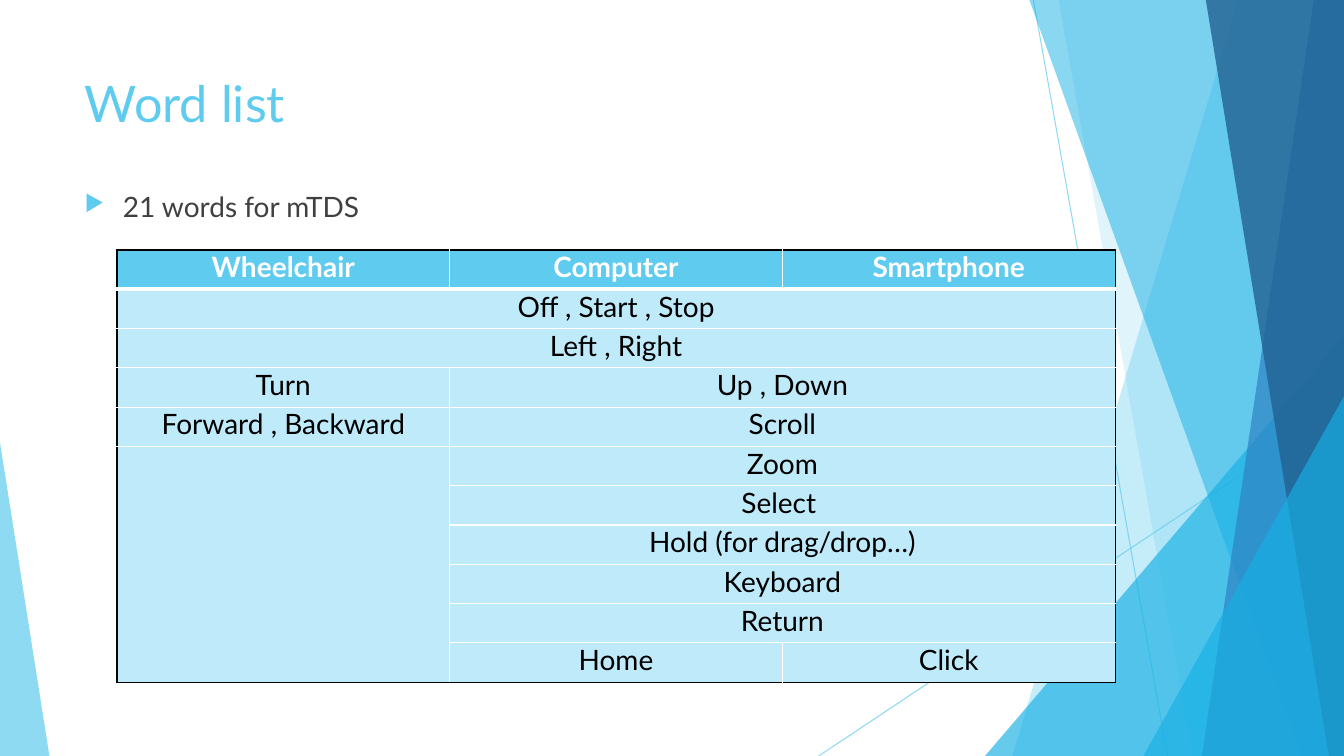
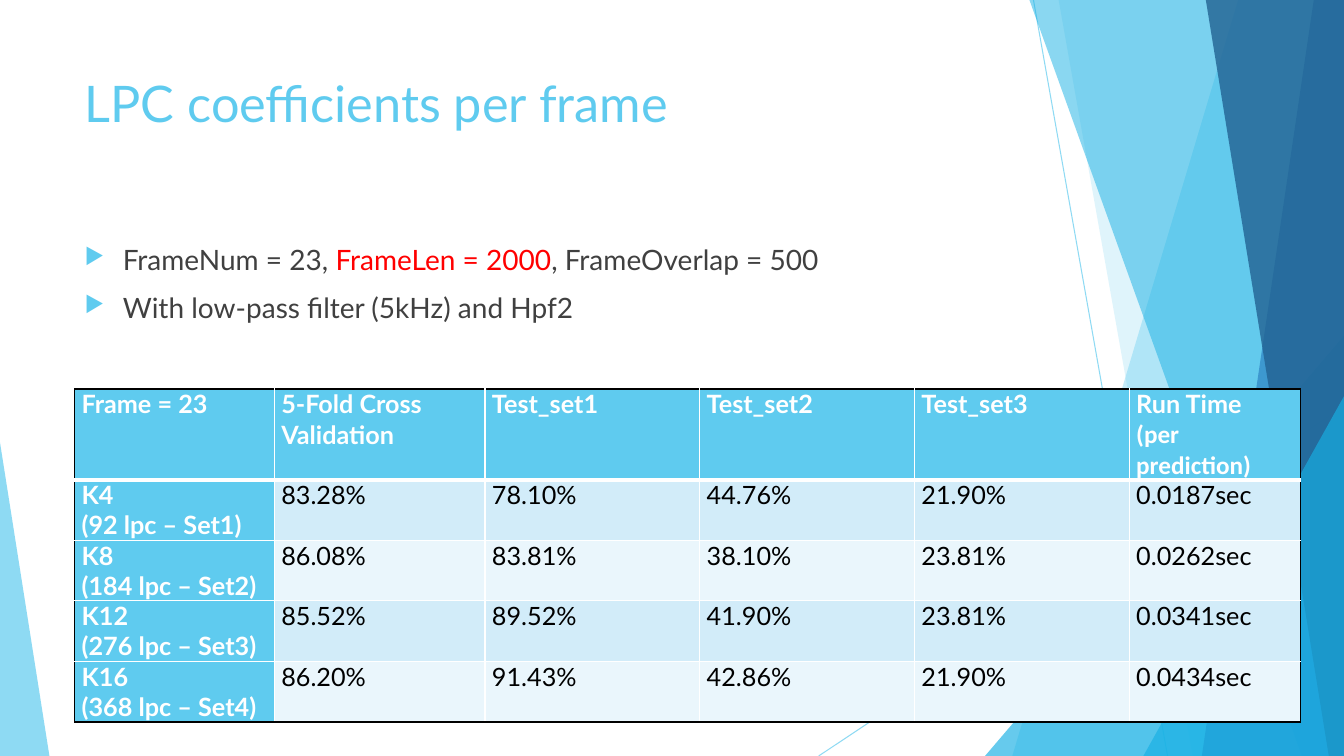
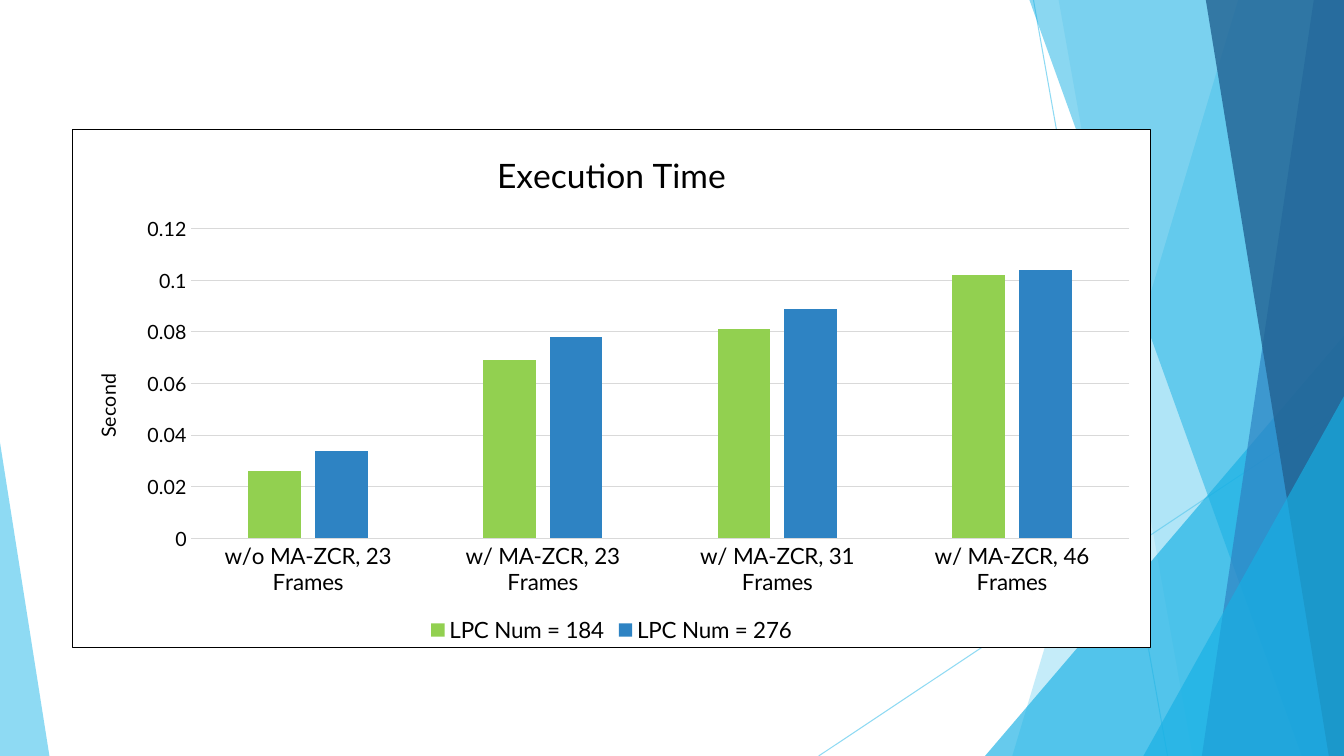
"""Builds three slides: a word list, LPC results per frame and execution times."""
from lxml import etree
from pptx import Presentation
from pptx import util as u
from pptx.chart.data import CategoryChartData
from pptx.dml.color import RGBColor
from pptx.enum import chart as ch, shapes, text
from pptx.oxml import parse_xml
from pptx.oxml.ns import nsdecls, qn

W, H = 13.33, 7.5
FONT = "Lato"
C = {"sky": "5FCBEF", "cyan": "17B0E4", "blue": "2E83C3", "navy": "226292",
     "white": "FFFFFF", "black": "000000", "body": "404040", "red": "FF0000",
     "pale": "BFEAF9", "band": "D2ECF9", "light": "EAF6FC",
     "grid": "D9D9D9", "green": "92D050"}

RAYS = [((10.25, 0), (11.58, H)), ((W, 4.03), (8.12, H))]
FACETS = [("band", 12.28, 10.04, "sky", 36), ("band", 10.5, 11.83, "sky", 20),
          ("triangle", (9.77, 3.33, 3.56, 4.17), 1, "cyan", 66),
          ("band", 10.21, 12.91, "cyan", 50), ("band", 13.03, 11.92, "blue", 70),
          ("band", 11.96, 13.18, "navy", 80),
          ("triangle", (11.34, 3.93, 1.99, 3.57), 1, "cyan", 66),
          ("triangle", (0, 4.39, 0.49, 3.11), 0, "sky", 70)]

WORD_BULLETS = [[("21 words for mTDS", "body")]]
WORDS = [["Wheelchair", "Computer", "Smartphone"],
         ["Off , Start , Stop"], ["Left , Right"],
         ["Turn", "Up , Down"], ["Forward , Backward", "Scroll"],
         ["", "Zoom"], ["", "Select "], ["", "Hold (for drag/drop…)"],
         ["", "Keyboard"], ["", "Return"], ["", "Home", "Click"]]
WORD_MERGES = ([(r, 0, r, 2) for r in (1, 2)] + [(r, 1, r, 2) for r in range(3, 10)]
               + [(5, 0, 10, 0)])

LPC_BULLETS = [[("FrameNum = 23, ", "body"), ("FrameLen = 2000", "red"),
                (", FrameOverlap = 500", "body")],
               [("With low-pass filter (5kHz) and Hpf2", "body")]]
LPC = [["Frame = 23", "5-Fold Cross Validation", "Test_set1", "Test_set2", "Test_set3",
        "Run Time\n(per prediction)"],
       ["K4\n(92 lpc – Set1)", "83.28%", "78.10%", "44.76%", "21.90%", "0.0187sec"],
       ["K8\n(184 lpc – Set2)", "86.08%", "83.81%", "38.10%", "23.81%", "0.0262sec"],
       ["K12\n(276 lpc – Set3)", "85.52%", "89.52%", "41.90%", "23.81%", "0.0341sec"],
       ["K16\n(368 lpc – Set4)", "86.20%", "91.43%", "42.86%", "21.90%", "0.0434sec"]]
LINE_FONTS = {"(per prediction)": "Calibri"}

TIME_CATS = ["w/o MA-ZCR, 23 Frames", "w/ MA-ZCR, 23 Frames",
             "w/ MA-ZCR, 31 Frames", "w/ MA-ZCR, 46 Frames"]
TIMES = [("LPC Num = 184", "green", (0.026, 0.069, 0.081, 0.102)),
         ("LPC Num = 276", "blue", (0.034, 0.078, 0.089, 0.104))]


def rgb(name):
    """Return a palette colour."""
    return RGBColor.from_string(C[name])


def inches(*values):
    """Convert lengths to Inches."""
    return [u.Inches(v) for v in values]


def assign(obj, **values):
    """Set attributes from keyword values."""
    for key, value in values.items():
        setattr(obj, key, value)


def style(font, size, color, bold=False, name=FONT):
    """Format a font."""
    assign(font, size=u.Pt(size), bold=bold, name=name)
    font.color.rgb = rgb(color)


def set_alpha(part, percent):
    """Make the solid fill inside an element translucent."""
    clr = next(part.iter(qn("a:srgbClr")))
    etree.SubElement(clr, qn("a:alpha"), val=str(percent * 1000))


def add_decor(s):
    """Draw the rays and facets that every slide shares."""
    for start, end in RAYS:
        ray = s.shapes.add_connector(shapes.MSO_CONNECTOR.STRAIGHT, *inches(*start, *end))
        ray.line.color.rgb = rgb("sky")
        ray.line.width = u.Pt(0.75)
        sppr = ray._element.spPr
        set_alpha(sppr, 70)
        etree.SubElement(sppr, qn("a:effectLst"))
    for kind, where, shift, color, alpha in FACETS:
        if kind == "band":
            fb = s.shapes.build_freeform(*inches(where, 0), scale=1.0)
            fb.add_line_segments([inches(*pt) for pt in ((W, 0), (W, H), (shift, H))])
            sp = fb.convert_to_shape()
        else:
            sp = s.shapes.add_shape(shapes.MSO_SHAPE.ISOSCELES_TRIANGLE, *inches(*where))
            sp.adjustments[0] = shift
        sp.shadow.inherit = False
        sp.fill.solid()
        sp.fill.fore_color.rgb = rgb(color)
        set_alpha(sp._element.spPr, alpha)
        sp.line.fill.background()


def add_slide(prs, title=None):
    """Add a decorated slide, with a title if one is given."""
    s = prs.slides.add_slide(prs.slide_layouts[5 if title else 6])
    add_decor(s)
    if title:
        sp = s.shapes.title
        left, top, width, height = inches(0.74, 0.67, 9.4, 1.44)
        assign(sp, left=left, top=top, width=width, height=height)
        tf = sp.text_frame
        assign(tf, text=title, word_wrap=True, vertical_anchor=text.MSO_ANCHOR.TOP)
        p = tf.paragraphs[0]
        p.alignment = text.PP_ALIGN.LEFT
        style(p.runs[0].font, 36, "sky")
    return s


def add_bullets(s, top, height, items):
    """Add a list with arrow bullets."""
    tf = s.shapes.add_textbox(*inches(0.74, top, 9.4, height)).text_frame
    tf.word_wrap = True
    for i, runs in enumerate(items):
        p = tf.add_paragraph() if i else tf.paragraphs[0]
        p.space_before = u.Pt(10)
        ppr = p._p.get_or_add_pPr()
        indent = u.Inches(0.38)
        ppr.set("marL", str(indent))
        ppr.set("indent", str(-indent))
        clr = etree.SubElement(ppr, qn("a:buClr"))
        etree.SubElement(clr, qn("a:srgbClr"), val=C["sky"])
        etree.SubElement(ppr, qn("a:buSzPct"), val="80000")
        etree.SubElement(ppr, qn("a:buChar"), char="▶")
        for words, color in runs:
            r = p.add_run()
            r.text = words
            style(r.font, 20, color)


def set_borders(cell, edges):
    """Draw cell borders from a dict of side to (colour, points)."""
    tcpr = cell._tc.get_or_add_tcPr()
    for side, (color, pt) in edges.items():
        ln = etree.SubElement(tcpr, qn("a:ln" + side), w=str(u.Pt(pt)))
        fill = etree.SubElement(ln, qn("a:solidFill"))
        etree.SubElement(fill, qn("a:srgbClr"), val=C[color])


def add_table(s, left, top, cols, rows, data, bands, size, align,
              merges=(), label_cols=0):
    """Add a table with a heading row, black frame and white inner lines."""
    table = s.shapes.add_table(len(rows), len(cols),
                               *inches(left, top, sum(cols), sum(rows))).table
    table.horz_banding = False
    for col, width in zip(table.columns, cols):
        col.width = u.Inches(width)
    for row, height in zip(table.rows, rows):
        row.height = u.Inches(height)
    for r0, c0, r1, c1 in merges:
        table.cell(r0, c0).merge(table.cell(r1, c1))
    outer, inner = ("black", 1), ("white", 1)
    for r in range(len(rows)):
        for c in range(len(cols)):
            cell = table.cell(r, c)
            last_row = r + cell.span_height >= len(rows)
            last_col = c + cell.span_width >= len(cols)
            set_borders(cell, {
                "L": inner if c else outer,
                "R": outer if last_col else inner,
                "T": outer if r == 0 else ("white", 3) if r == 1 else inner,
                "B": ("white", 3) if r == 0 else outer if last_row else inner})
            head = r == 0 or c < label_cols
            cell.fill.solid()
            cell.fill.fore_color.rgb = rgb("sky" if head else bands[(r - 1) % len(bands)])
            side = u.Inches(0.07)
            assign(cell, margin_left=side, margin_right=side, margin_top=0, margin_bottom=0)
            if c < len(data[r]) and data[r][c]:
                cell.text = data[r][c]
                for p in cell.text_frame.paragraphs:
                    p.alignment = align
                    style(p.runs[0].font, size, "white" if head else "black", head,
                          LINE_FONTS.get(p.text, FONT))


def set_title(owner, words, size):
    """Title a chart or an axis."""
    tf = owner.text_frame
    tf.text = words
    style(tf.paragraphs[0].runs[0].font, size, "black")
    return tf


def set_line(line, color):
    """Draw a thin chart line."""
    line.color.rgb = rgb(color)
    line.width = u.Pt(0.75)


def add_time_chart(s):
    """Add the framed execution time chart."""
    data = CategoryChartData()
    data.categories = TIME_CATS
    for name, _, values in TIMES:
        data.add_series(name, values)
    chart = s.shapes.add_chart(ch.XL_CHART_TYPE.COLUMN_CLUSTERED,
                               *inches(0.71, 1.28, 10.71, 5.15), data).chart
    style(chart.font, 10, "black")
    chart.has_title = True
    set_title(chart.chart_title, "Execution Time", 24)
    chart.chart_title.include_in_layout = False
    chart.has_legend = True
    assign(chart.legend, position=ch.XL_LEGEND_POSITION.BOTTOM, include_in_layout=False)
    style(chart.legend.font, 16, "black")

    plot = chart.plots[0]
    assign(plot, gap_width=219, overlap=-27, vary_by_categories=False)
    for series, (_, color, _) in zip(plot.series, TIMES):
        series.format.fill.solid()
        series.format.fill.fore_color.rgb = rgb(color)

    cat, val = chart.category_axis, chart.value_axis
    for axis, size in ((cat, 16), (val, 14)):
        assign(axis, major_tick_mark=ch.XL_TICK_MARK.NONE, minor_tick_mark=ch.XL_TICK_MARK.NONE)
        style(axis.tick_labels.font, size, "black")
    set_line(cat.format.line, "grid")
    val.format.line.fill.background()
    set_line(val.major_gridlines.format.line, "grid")
    assign(val, minimum_scale=0, maximum_scale=0.12, major_unit=0.02, has_title=True)
    assign(val.tick_labels, number_format="General", number_format_is_linked=False)
    body = set_title(val.axis_title, "Second", 14)._txBody.bodyPr
    body.set("rot", "-5400000")
    body.set("vert", "horz")

    frame = parse_xml(
        f'<c:spPr {nsdecls("c", "a")}><a:solidFill><a:srgbClr val="{C["white"]}"/></a:solidFill>'
        f'<a:ln w="{u.Pt(0.75)}"><a:solidFill><a:srgbClr val="{C["black"]}"/></a:solidFill>'
        '</a:ln></c:spPr>')
    chart._chartSpace.find(qn("c:chart")).addnext(frame)


def main():
    """Build and save the slides."""
    prs = Presentation()
    prs.slide_width, prs.slide_height = inches(W, H)

    s = add_slide(prs, "Word list")
    add_bullets(s, 1.83, 0.5, WORD_BULLETS)
    add_table(s, 1.16, 2.48, [3.3] * 3, [0.39] * len(WORDS), WORDS, ["pale"], 20,
              text.PP_ALIGN.CENTER, merges=WORD_MERGES)

    s = add_slide(prs, "LPC coefficients per frame")
    add_bullets(s, 2.36, 1, LPC_BULLETS)
    add_table(s, 0.74, 3.86, [1.98, 2.09, 2.13, 2.13, 2.13, 1.7], [0.9] + [0.6] * 4,
              LPC, ["band", "light"], 18, text.PP_ALIGN.LEFT, label_cols=1)

    add_time_chart(add_slide(prs))
    prs.save("out.pptx")


if __name__ == "__main__":
    main()
